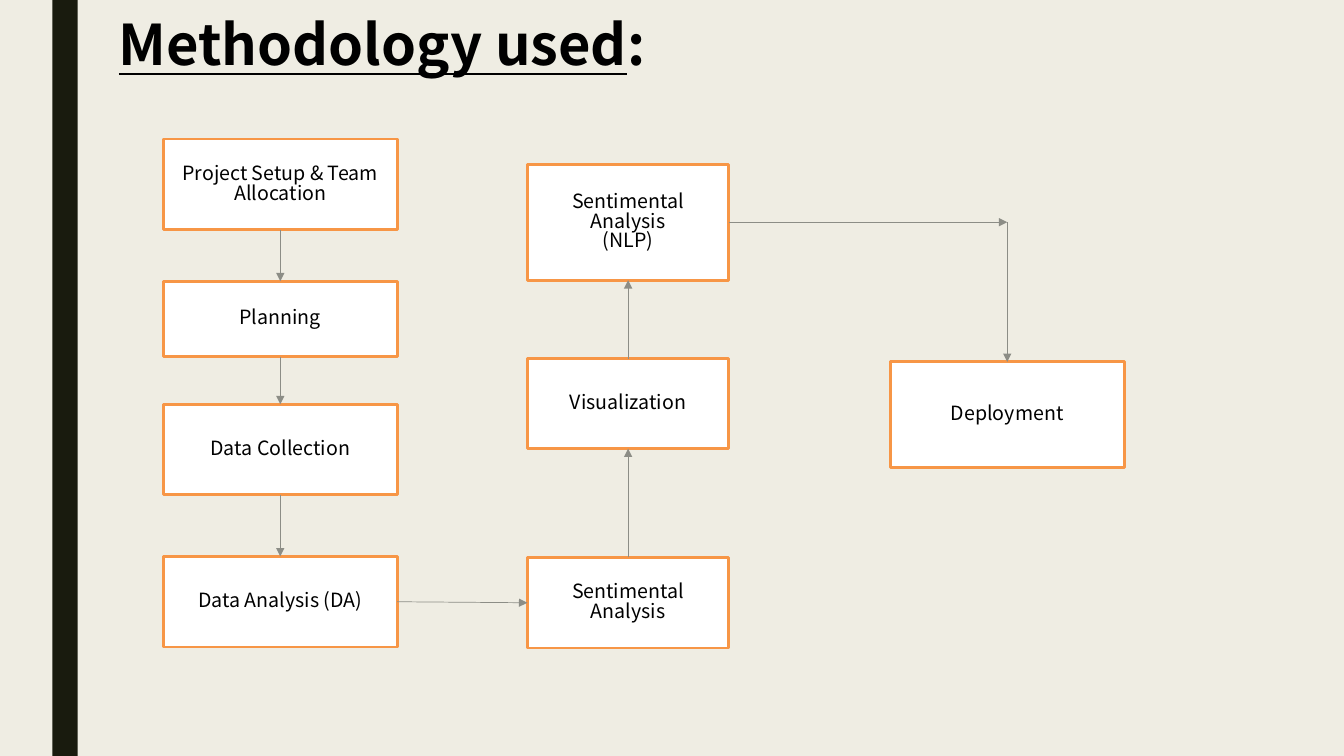
from lxml.etree import SubElement
from pptx import Presentation
from pptx.dml.color import RGBColor
from pptx.enum.shapes import MSO_CONNECTOR as Connector, MSO_SHAPE as Shape
from pptx.enum.text import MSO_ANCHOR as Anchor, PP_ALIGN as Align
from pptx.oxml.ns import qn
from pptx.util import Emu, Pt

PX = 9144  # 100 px to the inch
FONT = "Noto Sans CJK SC"
LINE_SPACING = 0.83

# Step boxes: left, top, width, height, paragraphs
STEPS = {
    "setup": (162, 138, 232, 90, ["Project Setup & Team Allocation"]),
    "planning": (162, 279, 232, 75, ["Planning"]),
    "collection": (162, 401, 232, 90, ["Data Collection"]),
    "analysis": (162, 552, 232, 90, ["Data Analysis (DA)"]),
    "sentiment": (523, 553, 200, 90, ["Sentimental Analysis"]),
    "visualization": (523, 356, 200, 89, ["Visualization"]),
    "nlp": (523, 163, 200, 115, ["Sentimental Analysis", "(NLP)"]),
    "deployment": (883, 359, 232, 105, ["Deployment"]),
}

# Arrows between steps: start step, its side, end step, its side
LINKS = [
    ("setup", "bottom", "planning", "top"),
    ("planning", "bottom", "collection", "top"),
    ("collection", "bottom", "analysis", "top"),
    ("analysis", "right", "sentiment", "left"),
    ("sentiment", "top", "visualization", "bottom"),
    ("visualization", "top", "nlp", "bottom"),
]


def px(*lengths):
    return [Emu(round(length * PX)) for length in lengths]


def color(value):
    return RGBColor.from_string(value)


def add_run(para, text, size, bold=None, underline=None):
    run = para.add_run()
    run.text = text
    run.font.name = FONT
    run.font.size = Pt(size)
    run.font.bold = bold
    run.font.underline = underline
    run.font.color.rgb = color("000000")


def add_rect(page, box, fill, border=None):
    rect = page.shapes.add_shape(Shape.RECTANGLE, *px(*box))
    rect.shadow.inherit = False
    rect.fill.solid()
    rect.fill.fore_color.rgb = color(fill)
    if border:
        rect.line.color.rgb = color(border)
        rect.line.width = Pt(2)
    else:
        rect.line.fill.background()
    return rect


def add_title(page, box):
    frame = page.shapes.add_textbox(*px(*box)).text_frame
    frame.word_wrap = True
    para = frame.paragraphs[0]
    para.line_spacing = LINE_SPACING
    add_run(para, "Methodology used", 40, bold=True, underline=True)
    add_run(para, ":", 40, bold=True, underline=False)


def add_step(page, box, lines):
    frame = add_rect(page, box, "FFFFFF", "F79646").text_frame
    frame.word_wrap = True
    frame.vertical_anchor = Anchor.MIDDLE
    for index, line in enumerate(lines):
        para = frame.add_paragraph() if index else frame.paragraphs[0]
        para.alignment = Align.CENTER
        para.line_spacing = LINE_SPACING
        add_run(para, line, 14)


def side_point(step, side):
    left, top, width, height, _ = STEPS[step]
    across, down = {"top": (0.5, 0), "bottom": (0.5, 1),
                    "left": (0, 0.5), "right": (1, 0.5)}[side]
    return left + across * width, top + down * height


def add_arrow(page, start, end):
    arrow = page.shapes.add_connector(Connector.STRAIGHT, *px(*start, *end))
    arrow.line.color.rgb = color("8C8D86")
    arrow.line.width = Pt(0.5)
    # Arrowhead, and no shadow
    SubElement(arrow.line._get_or_add_ln(), qn("a:tailEnd"), type="triangle")
    SubElement(arrow._element.spPr, qn("a:effectLst"))


def add_flow(page):
    for *box, lines in STEPS.values():
        add_step(page, box, lines)
    for start, start_side, end, end_side in LINKS:
        add_arrow(page, side_point(start, start_side), side_point(end, end_side))
    # Two arrows round the corner to deployment
    start, end = side_point("nlp", "right"), side_point("deployment", "top")
    corner = (end[0], start[1])
    add_arrow(page, start, corner)
    add_arrow(page, corner, end)


def main():
    deck = Presentation()
    deck.slide_width, deck.slide_height = px(1333, 750)
    page = deck.slides.add_slide(deck.slide_layouts[6])
    page.background.fill.solid()
    page.background.fill.fore_color.rgb = color("EFEDE3")
    # Side band
    add_rect(page, (52, 0, 25, 750), "191B0E")
    add_flow(page)
    add_title(page, (108, 16, 849, 77))
    deck.save("out.pptx")


if __name__ == "__main__":
    main()
